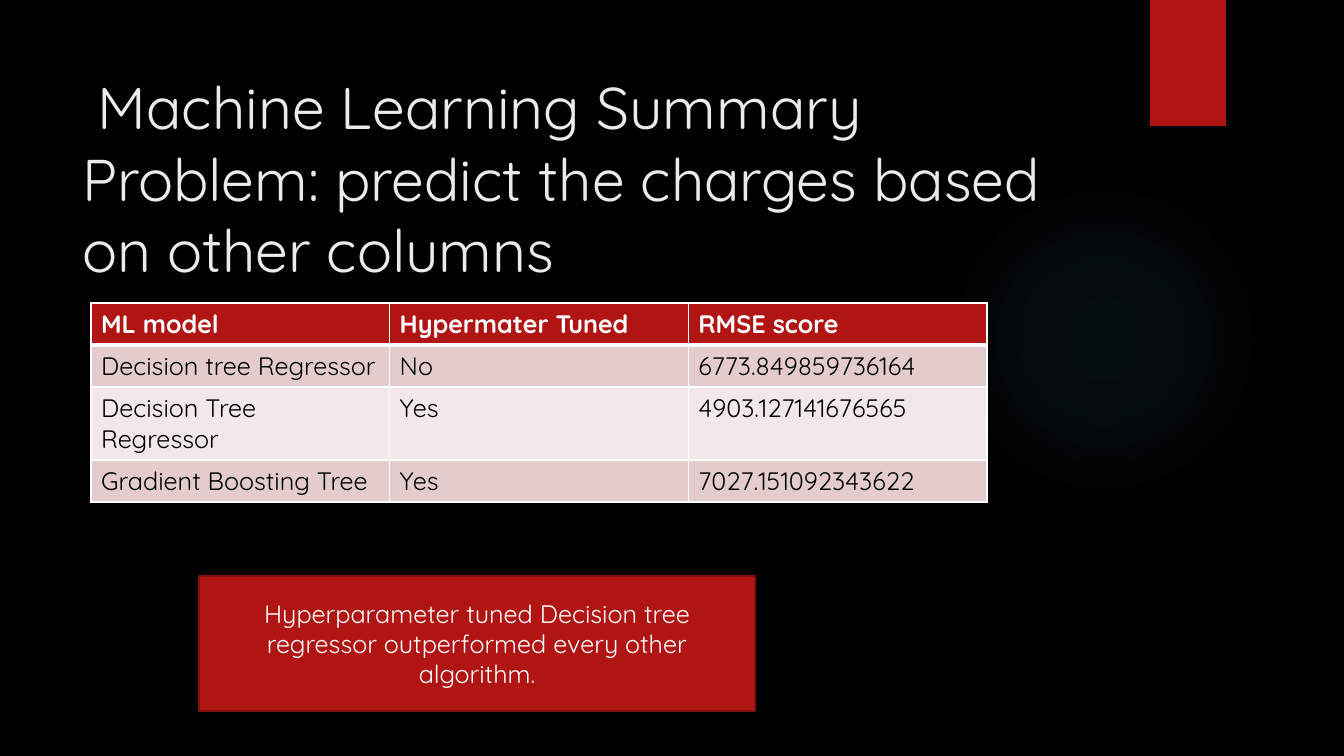
from lxml.etree import SubElement
from pptx import Presentation
from pptx.dml.color import RGBColor
from pptx.enum.shapes import MSO_SHAPE as Preset
from pptx.enum.text import MSO_ANCHOR as Anchor, PP_ALIGN as Align
from pptx.oxml import parse_xml
from pptx.oxml.ns import nsdecls, qn
from pptx.util import Pt

PIXEL = 9071
FONT = "Quicksand"
BLACK, WHITE, TITLE_GREY = "000000", "FFFFFF", "EBEBEB"
RED, DARK_RED, GLOW = "B01513", "82100E", "50B9C1"
BANDS = ["E4CCCC", "F2E8E7"]


def color(hex_value):
    return RGBColor.from_string(hex_value)


def px(*lengths):
    return [length * PIXEL for length in lengths]


def write(frame, text, size=18, ink=WHITE, bold=False, align=Align.LEFT, anchor=Anchor.TOP):
    frame.word_wrap = True
    frame.vertical_anchor = anchor
    paragraph = frame.paragraphs[0]
    paragraph.alignment = align
    run = paragraph.add_run()
    run.text = text
    run.font.name, run.font.size, run.font.bold = FONT, Pt(size), bold
    run.font.color.rgb = color(ink)


class SummarySlide:
    """Holds the dark red style and the slide being built."""

    def __init__(self, presentation):
        self.slide = presentation.slides.add_slide(presentation.slide_layouts[5])
        background = self.slide.background.fill
        background.solid()
        background.fore_color.rgb = color(BLACK)

    def title(self, text, box):
        title = self.slide.shapes.title
        title.left, title.top, title.width, title.height = px(*box)
        write(title.text_frame, text, size=42, ink=TITLE_GREY)

    def text(self, text, box, **style):
        write(self.slide.shapes.add_textbox(*px(*box)).text_frame, text, **style)

    def shape(self, preset, box, fill=RED, line=None):
        shape = self.slide.shapes.add_shape(preset, *px(*box))
        shape.shadow.inherit = False
        shape.fill.solid()
        shape.fill.fore_color.rgb = color(fill)
        if line:
            shape.line.color.rgb = color(line)
            shape.line.width = Pt(1.5)
        else:
            shape.line.fill.background()
        return shape

    def glow(self, box, stops):
        properties = self.shape(Preset.OVAL, box)._element.spPr
        marks = "".join(
            f'<a:gs pos="{place * 1000}"><a:srgbClr val="{GLOW}">'
            f'<a:alpha val="{alpha * 1000}"/></a:srgbClr></a:gs>'
            for place, alpha in stops)
        gradient = parse_xml(
            f'<a:gradFill {nsdecls("a")}><a:gsLst>{marks}</a:gsLst><a:path path="circle">'
            '<a:fillToRect l="50000" t="50000" r="50000" b="50000"/></a:path></a:gradFill>')
        properties.replace(properties.find(qn("a:solidFill")), gradient)

    def borders(self, cell, bottom):
        properties = cell._tc.get_or_add_tcPr()
        for index, (side, width) in enumerate(dict(L=1, R=1, T=1, B=bottom).items()):
            line = SubElement(properties, qn(f"a:ln{side}"), w=str(Pt(width)))
            SubElement(SubElement(line, qn("a:solidFill")), qn("a:srgbClr"), val=WHITE)
            properties.remove(line)
            properties.insert(index, line)

    def table(self, rows, box, heights):
        table = self.slide.shapes.add_table(len(rows), len(rows[0]), *px(*box)).table
        for index, (values, height) in enumerate(zip(rows, heights)):
            header = index == 0
            table.rows[index].height = height * PIXEL
            for cell, value in zip(table.rows[index].cells, values):
                cell.fill.solid()
                cell.fill.fore_color.rgb = color(RED if header else BANDS[(index - 1) % 2])
                write(cell.text_frame, value, ink=WHITE if header else BLACK, bold=header)
                self.borders(cell, bottom=3 if header else 1)


presentation = Presentation()
presentation.slide_width, presentation.slide_height = px(1344, 756)
summary = SummarySlide(presentation)

summary.glow((949, 184, 310, 310), [(0, 7), (36, 6), (69, 0)])
summary.shape(Preset.RECTANGLE, (1150, 0, 76, 126))
summary.title("Problem: predict the charges based on other columns", (72, 138, 1037, 154))
summary.text("Machine Learning Summary", (88, 66, 1037, 154), size=42, ink=TITLE_GREY)
summary.table([
    ["ML model", "Hypermater Tuned", "RMSE score"],
    ["Decision tree Regressor", "No", "6773.849859736164"],
    ["Decision Tree Regressor", "Yes", "4903.127141676565"],
    ["Gradient Boosting Tree", "Yes", "7027.151092343622"],
], (91, 303, 896, 199), [42, 42, 73, 42])
conclusion = summary.shape(Preset.RECTANGLE, (199, 576, 556, 135), line=DARK_RED)
write(conclusion.text_frame,
      "Hyperparameter tuned Decision tree regressor outperformed every other algorithm.",
      align=Align.CENTER, anchor=Anchor.MIDDLE)

presentation.save("out.pptx")
